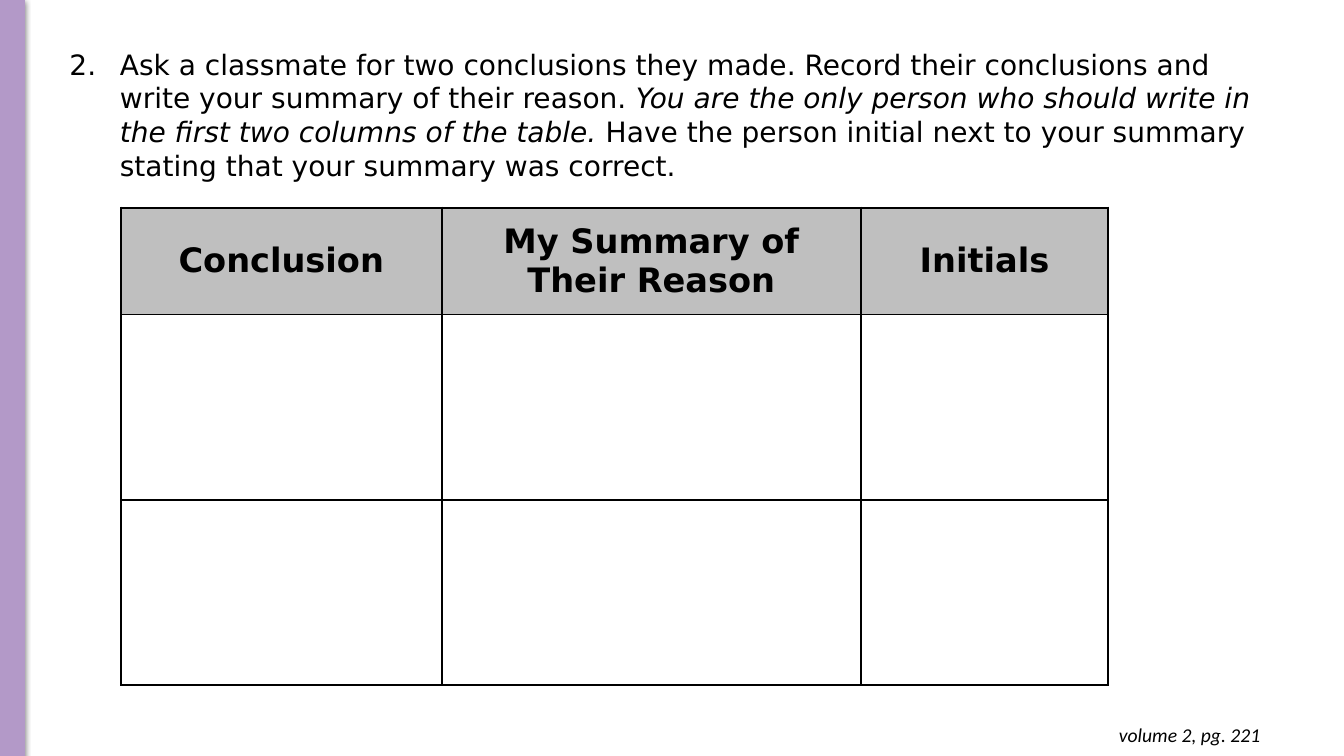
from dataclasses import dataclass

from lxml import etree
from pptx import Presentation
from pptx.dml.color import RGBColor
from pptx.enum.shapes import MSO_SHAPE
from pptx.enum.text import MSO_ANCHOR, PP_ALIGN
from pptx.oxml import parse_xml
from pptx.oxml.ns import qn
from pptx.slide import Slide
from pptx.table import _Cell
from pptx.text.text import Font, TextFrame, _Paragraph
from pptx.util import Inches, Pt

RECTANGLE = MSO_SHAPE.RECTANGLE
MIDDLE = MSO_ANCHOR.MIDDLE
CENTER, RIGHT = PP_ALIGN.CENTER, PP_ALIGN.RIGHT
DRAWING_NS = 'xmlns:a="http://schemas.openxmlformats.org/drawingml/2006/main"'


@dataclass(frozen=True)
class Theme:
    accent: str = "B399C8"
    header: str = "BFBFBF"
    ink: str = "000000"
    body_font: str = "DejaVu Sans"
    reference_font: str = "Calibri"
    body_size: int = 20
    header_size: int = 24
    reference_size: int = 14
    border_width: float = 1.5


@dataclass(frozen=True)
class Column:
    heading: str
    width: float


@dataclass(frozen=True)
class Phrase:
    text: str
    italic: bool = False


THEME = Theme()
INSTRUCTION = (
    Phrase("Ask a classmate for two conclusions they made. Record their "
           "conclusions and write your summary of their reason. "),
    Phrase("You are the only person who should write in the first two "
           "columns of the table.", italic=True),
    Phrase(" Have the person initial next to your summary stating that "
           "your summary was correct."),
)
COLUMNS = (
    Column("Conclusion", 3.18),
    Column("My Summary of Their Reason", 4.16),
    Column("Initials", 2.45),
)
ROW_HEIGHTS = (1.06, 1.84, 1.84)


def style_font(font: Font, name: str, size: int) -> None:
    font.name = name
    font.size = Pt(size)
    font.color.rgb = RGBColor.from_string(THEME.ink)


def add_text_box(slide: Slide, left: float, top: float,
                 width: float, height: float) -> TextFrame:
    box = slide.shapes.add_textbox(
        Inches(left), Inches(top), Inches(width), Inches(height))
    box.text_frame.word_wrap = True
    return box.text_frame


def number_paragraph(paragraph: _Paragraph, start: int, indent: float) -> None:
    properties = paragraph._p.get_or_add_pPr()
    properties.set("marL", str(Inches(indent)))
    properties.set("indent", str(-Inches(indent)))
    color = etree.SubElement(properties, qn("a:buClr"))
    etree.SubElement(color, qn("a:srgbClr"), val=THEME.ink)
    etree.SubElement(properties, qn("a:buAutoNum"),
                     type="arabicPeriod", startAt=str(start))


def set_borders(cell: _Cell) -> None:
    properties = cell._tc.get_or_add_tcPr()
    for position, side in enumerate(("lnL", "lnR", "lnT", "lnB")):
        properties.insert(position, parse_xml(
            f'<a:{side} {DRAWING_NS} w="{Pt(THEME.border_width)}">'
            f'<a:solidFill><a:srgbClr val="{THEME.ink}"/></a:solidFill>'
            f'</a:{side}>'))


def add_side_bar(slide: Slide) -> None:
    bar = slide.shapes.add_shape(RECTANGLE, 0, 0, Inches(0.24), Inches(7.51))
    accent = RGBColor.from_string(THEME.accent)
    bar.fill.solid()
    bar.fill.fore_color.rgb = accent
    bar.line.color.rgb = accent
    bar.line.width = Pt(0.75)
    bar.shadow.inherit = False
    effects = bar._element.spPr.find(qn("a:effectLst"))
    effects.append(parse_xml(
        f'<a:outerShdw {DRAWING_NS} blurRad="{Pt(4.5)}" dist="{Pt(1.5)}" '
        f'dir="5400000" rotWithShape="0"><a:srgbClr val="{THEME.ink}">'
        '<a:alpha val="50000"/></a:srgbClr></a:outerShdw>'))


def add_instruction(slide: Slide) -> None:
    paragraph = add_text_box(slide, 0.59, 0.42, 12.01, 1.45).paragraphs[0]
    number_paragraph(paragraph, start=2, indent=0.5)
    paragraph.space_after = Pt(10)
    style_font(paragraph.font, THEME.body_font, THEME.body_size)
    for phrase in INSTRUCTION:
        run = paragraph.add_run()
        run.text = phrase.text
        if phrase.italic:
            run.font.italic = True


def fill_heading(cell: _Cell, heading: str) -> None:
    cell.fill.solid()
    cell.fill.fore_color.rgb = RGBColor.from_string(THEME.header)
    cell.vertical_anchor = MIDDLE
    cell.margin_left = cell.margin_right = Inches(0.12)
    cell.margin_top = cell.margin_bottom = Inches(0.12)
    cell.text = heading
    paragraph = cell.text_frame.paragraphs[0]
    paragraph.alignment = CENTER
    style_font(paragraph.font, THEME.header_size and THEME.body_font,
               THEME.header_size)
    paragraph.font.bold = True


def add_conclusion_table(slide: Slide) -> None:
    table = slide.shapes.add_table(
        len(ROW_HEIGHTS), len(COLUMNS), Inches(1.2), Inches(2.06),
        Inches(sum(column.width for column in COLUMNS)),
        Inches(sum(ROW_HEIGHTS))).table
    for row, height in zip(table.rows, ROW_HEIGHTS):
        row.height = Inches(height)
    for index, column in enumerate(COLUMNS):
        table.columns[index].width = Inches(column.width)
        fill_heading(table.cell(0, index), column.heading)
        for row_index in range(1, len(ROW_HEIGHTS)):
            table.cell(row_index, index).fill.background()
    for cell in table.iter_cells():
        set_borders(cell)


def add_page_reference(slide: Slide) -> None:
    frame = add_text_box(slide, 9.72, 7.07, 2.88, 0.44)
    frame.margin_top = frame.margin_bottom = Inches(0.1)
    paragraph = frame.paragraphs[0]
    paragraph.text = "volume 2, pg. 221"
    paragraph.alignment = RIGHT
    style_font(paragraph.font, THEME.reference_font, THEME.reference_size)
    paragraph.font.italic = True


def main() -> None:
    presentation = Presentation()
    presentation.slide_width = Inches(13.33)
    presentation.slide_height = Inches(7.5)
    slide = presentation.slides.add_slide(presentation.slide_layouts[6])
    add_side_bar(slide)
    add_instruction(slide)
    add_conclusion_table(slide)
    add_page_reference(slide)
    presentation.save("out.pptx")


if __name__ == "__main__":
    main()
